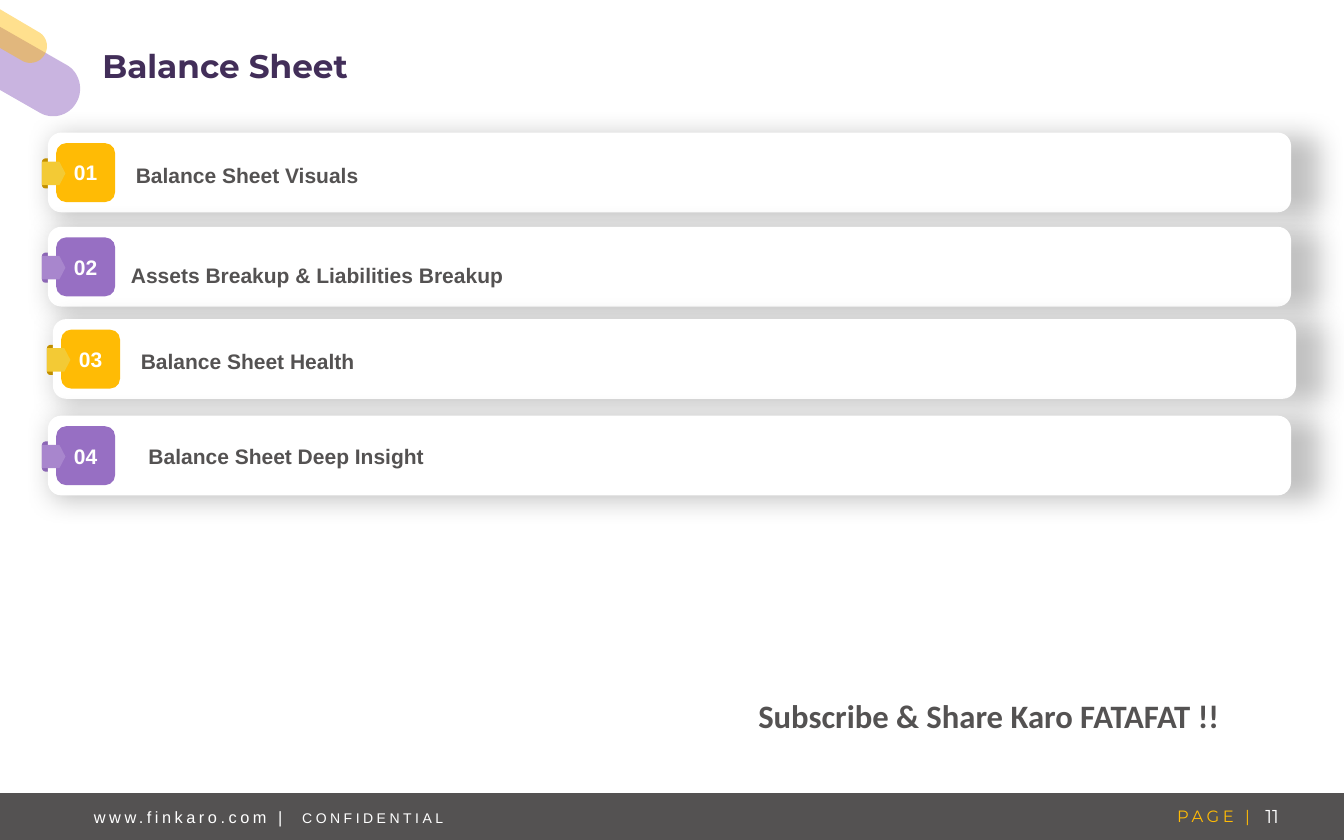
from lxml import etree
from pptx import Presentation
from pptx.dml.color import RGBColor
from pptx.enum.shapes import MSO_SHAPE
from pptx.enum.text import MSO_ANCHOR, MSO_AUTO_SIZE, PP_ALIGN
from pptx.oxml import parse_xml
from pptx.oxml.ns import qn
from pptx.util import Cm, Pt

GREY, WHITE, PLUM = "545252", "FFFFFF", "422E59"
AMBER, DARK_AMBER, LIGHT_AMBER = "FFBB05", "D09A00", "F3CA35"
PURPLE, LIGHT_PURPLE = "976FC3", "A886CD"
CARD_SHADOW = """<a:effectLst xmlns:a="http://schemas.openxmlformats.org/drawingml/2006/main">
<a:outerShdw blurRad="292100" dist="38100" dir="2700000" sx="102000" sy="102000"
 algn="tl" rotWithShape="0"><a:srgbClr val="000000"><a:alpha val="23000"/></a:srgbClr>
</a:outerShdw></a:effectLst>"""


def paint(shape, color, opacity=100):
    """Give a flat fill without outline or shadow."""
    shape.shadow.inherit = False
    shape.line.fill.background()
    shape.fill.solid()
    shape.fill.fore_color.rgb = RGBColor.from_string(color)
    if opacity < 100:
        tint = shape.fill._xPr.find(".//" + qn("a:srgbClr"))
        etree.SubElement(tint, qn("a:alpha"), val=str(opacity * 1000))


def write(shape, text, size, font, color, bold=False, align=PP_ALIGN.LEFT,
          anchor=MSO_ANCHOR.MIDDLE, leading=1.0, tracking=0):
    """Set one styled paragraph; tracking is in points."""
    frame = shape.text_frame
    frame.text = text
    frame.word_wrap = True
    frame.auto_size = MSO_AUTO_SIZE.NONE
    frame.vertical_anchor = anchor
    line = frame.paragraphs[0]
    line.alignment = align
    line.line_spacing = leading
    run = line.runs[0]
    run.font.size, run.font.name, run.font.bold = Pt(size), font, bold
    run.font.color.rgb = RGBColor.from_string(color)
    if tracking:
        run.font._element.set("spc", str(tracking * 100))
    return line


prs = Presentation()
prs.slide_width, prs.slide_height = Cm(40.64), Cm(25.4)
slide = prs.slides.add_slide(prs.slide_layouts[5])
shapes = slide.shapes

# Corner ribbons: start, edge end, two Bézier curves, last point (cm)
ribbons = [
    (LIGHT_PURPLE, 61, (0, 2.72), (1.19, 3.4),
     [((1.57, 3.63), (2.08, 3.51), (2.31, 3.1)), ((2.54, 2.72), (2.41, 2.18), (2.01, 1.96))],
     (0, 0.81)),
    (AMBER, 45, (0, 1.45), (0.66, 1.83),
     [((0.91, 1.98), (1.22, 1.88), (1.35, 1.65)), ((1.5, 1.4), (1.4, 1.09), (1.17, 0.97))],
     (0, 0.28)),
]
STEPS = 16
for color, opacity, start, edge, curves, last in ribbons:
    outline = [edge]
    for first_pull, second_pull, end in curves:
        begin = outline[-1]
        for step in range(1, STEPS + 1):
            t = step / STEPS
            weights = ((1 - t) ** 3, 3 * t * (1 - t) ** 2, 3 * t ** 2 * (1 - t), t ** 3)
            corners = (begin, first_pull, second_pull, end)
            outline.append(tuple(sum(w * c[axis] for w, c in zip(weights, corners))
                                 for axis in (0, 1)))
    outline.append(last)
    builder = shapes.build_freeform(Cm(start[0]), Cm(start[1]), scale=1.0)
    builder.add_line_segments([(Cm(x), Cm(y)) for x, y in outline], close=True)
    paint(builder.convert_to_shape(), color, opacity)

# Footer
footer = shapes.add_shape(MSO_SHAPE.RECTANGLE, 0, Cm(23.98), prs.slide_width, Cm(1.42))
paint(footer, GREY)
page_label = shapes.add_textbox(Cm(31.85), Cm(24.26), Cm(6.2), Cm(0.86))
write(page_label, "PAGE |", 14, "Montserrat", AMBER, align=PP_ALIGN.RIGHT,
      anchor=MSO_ANCHOR.TOP, tracking=3)
page_number = shapes.add_textbox(Cm(37.57), Cm(23.98), Cm(1.8), Cm(1.42))
write(page_number, "11", 16, "Montserrat", WHITE, align=PP_ALIGN.CENTER)
site = shapes.add_textbox(Cm(2.59), Cm(24.03), Cm(17.3), Cm(1.37))
site_line = write(site, "www.finkaro.com |  ", 14, "Arial", WHITE, tracking=3)
confidential = site_line.add_run()
confidential.text = "CONFIDENTIAL"
confidential.font.size, confidential.font.name = Pt(12), "Arial"
confidential.font.color.rgb = RGBColor.from_string(WHITE)
confidential.font._element.set("spc", "300")

title = shapes.title
title.left, title.top, title.width, title.height = Cm(2.84), Cm(0), Cm(32.87), Cm(3.81)
write(title, "Balance Sheet", 28, "Montserrat", PLUM, bold=True, leading=1.1)

# Agenda cards: left, top, label, and the label's own box where it has one
cards = [
    (1.45, 4.01, "Balance Sheet Visuals", None),
    (1.45, 6.86, "Assets Breakup & Liabilities Breakup", (3.71, 7.65, 20.37, 2.24)),
    (1.6, 9.65, "Balance Sheet Health", None),
    (1.45, 12.57, "Balance Sheet Deep Insight", (4.24, 13.13, 20.37, 1.09)),
]
schemes = [(DARK_AMBER, AMBER, LIGHT_AMBER), (PURPLE, PURPLE, LIGHT_PURPLE)]
for index, (left, top, label, label_box) in enumerate(cards):
    tab_color, badge_color, arrow_color = schemes[index % 2]

    tab = shapes.add_shape(MSO_SHAPE.ROUNDED_RECTANGLE,
                           Cm(left - 0.18), Cm(top + 0.78), Cm(0.86), Cm(0.91))
    tab.adjustments[0] = 0.12
    paint(tab, tab_color)

    card = shapes.add_shape(MSO_SHAPE.ROUNDED_RECTANGLE,
                            Cm(left), Cm(top), Cm(37.59), Cm(2.41))
    paint(card, WHITE)
    shadow = card._element.spPr.find(qn("a:effectLst"))
    shadow.getparent().replace(shadow, parse_xml(CARD_SHADOW))

    badge = shapes.add_shape(MSO_SHAPE.ROUNDED_RECTANGLE,
                             Cm(left + 0.25), Cm(top + 0.32), Cm(1.78), Cm(1.78))
    paint(badge, badge_color)
    write(badge, f"{index + 1:02}", 18, "Arial", WHITE, bold=True, align=PP_ALIGN.CENTER)

    arrow = shapes.add_shape(MSO_SHAPE.PENTAGON,
                             Cm(left - 0.18), Cm(top + 0.88), Cm(0.71), Cm(0.71))
    arrow.adjustments[0] = 0.26
    paint(arrow, arrow_color)

    if label_box:
        holder, anchor = shapes.add_textbox(*map(Cm, label_box)), MSO_ANCHOR.TOP
    else:
        holder, anchor = card, MSO_ANCHOR.MIDDLE
        inset = card.text_frame
        inset.margin_left = Cm(2.54)
        inset.margin_top = inset.margin_right = inset.margin_bottom = 0
    label_line = write(holder, label, 18, "Arial", GREY, bold=True,
                       align=PP_ALIGN.JUSTIFY, anchor=anchor, leading=1.2)
    label_line.space_after = Pt(6)

call_to_action = shapes.add_textbox(Cm(22.68), Cm(20.68), Cm(15.52), Cm(1.6))
write(call_to_action, "Subscribe & Share Karo FATAFAT !!", 28, "Calibri", GREY,
      bold=True, anchor=MSO_ANCHOR.TOP, leading=1.2)

prs.save("out.pptx")
